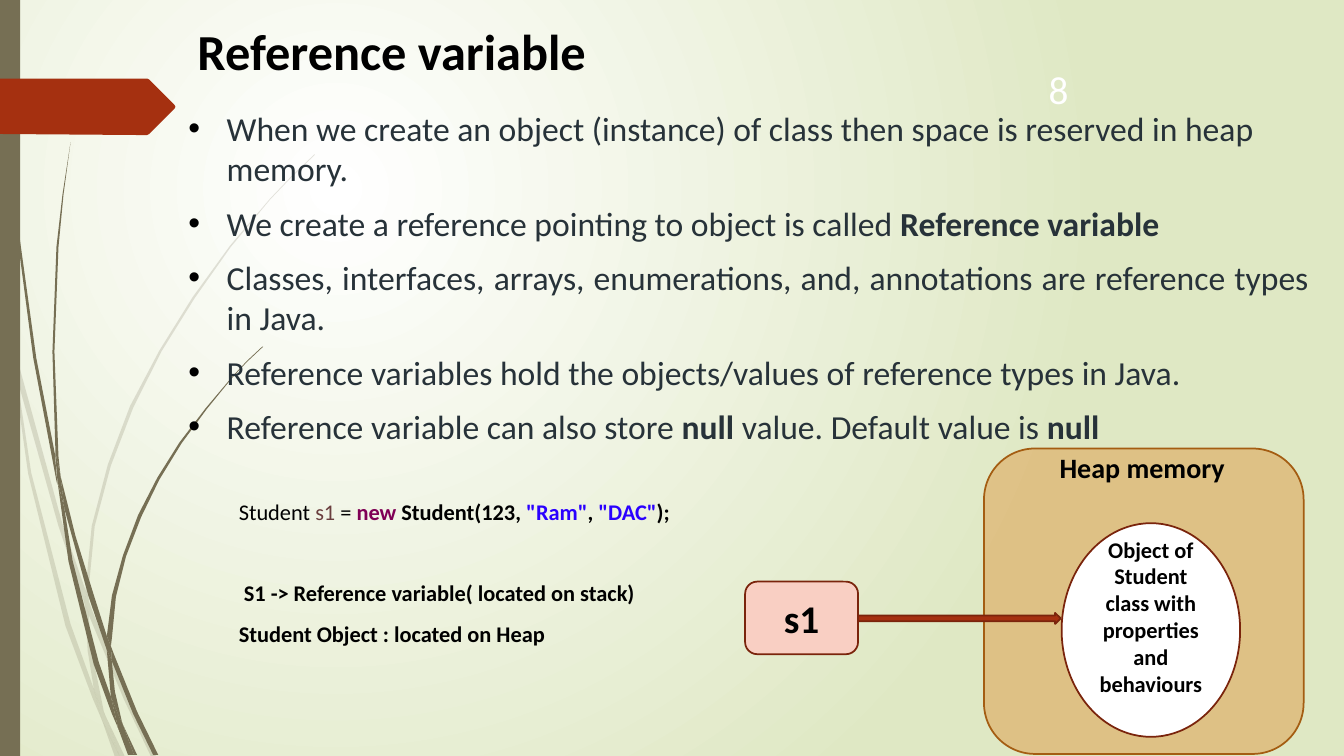
from pptx import Presentation
from pptx.dml.color import RGBColor as RGB
from pptx.enum.shapes import MSO_SHAPE as SHAPE
from pptx.enum.text import MSO_ANCHOR as ANCHOR, PP_ALIGN as ALIGN
from pptx.oxml import parse_xml
from pptx.oxml.ns import nsdecls, qn
from pptx.util import Pt

PX = 9144  # 100 px to the inch
FONT = "Calibri"

BLACK = RGB(0x00, 0x00, 0x00)
WHITE = RGB(0xFF, 0xFF, 0xFF)
PALE_GREEN = RGB(0xDF, 0xE8, 0xC4)
OLIVE = RGB(0x76, 0x6F, 0x54)
RED = RGB(0xA5, 0x30, 0x10)
DARK_RED = RGB(0x7A, 0x24, 0x0C)
PINK = RGB(0xF9, 0xCF, 0xC3)
ORANGE = RGB(0xDE, 0x7E, 0x18)
BROWN = RGB(0xA4, 0x5D, 0x12)
SLATE = RGB(0x27, 0x32, 0x39)
CODE_NAME = RGB(0x6A, 0x3E, 0x3E)
CODE_KEYWORD = RGB(0x7F, 0x00, 0x55)
CODE_STRING = RGB(0x2A, 0x00, 0xFF)

# Outlines of the grass blades, in px
FAINT_BLADES = [
    [(11, 350), (9, 322), (0, 282), (0, 299), (10, 344)],
    [(58, 522), (84, 599), (85, 586), (62, 520), (14, 345), (17, 376)],
    [(92, 607), (88, 596), (88, 610), (123, 694), (150, 751), (155, 751),
     (127, 692)],
    [(119, 751), (124, 751), (105, 711)],
    [(93, 683), (70, 619), (31, 469), (17, 376), (11, 350), (28, 470),
     (65, 621), (92, 693), (101, 714), (99, 707)],
    [(84, 599), (87, 646), (93, 683), (96, 692), (105, 711), (103, 706),
     (91, 646), (88, 610), (88, 608)],
    [(88, 584), (94, 522), (110, 462), (132, 405), (160, 349), (193, 296),
     (229, 245), (268, 198), (290, 175), (312, 154), (312, 153), (289, 175),
     (268, 197), (228, 244), (191, 295), (158, 348), (129, 403), (107, 461),
     (91, 522), (85, 584), (85, 586), (88, 596)],
    [(101, 714), (114, 751), (119, 751)],
    [(88, 608), (88, 610), (88, 596), (85, 586), (84, 599)],
    [(96, 692), (93, 683), (99, 707), (101, 714), (119, 751), (105, 711)],
]
SOLID_BLADES = [
    [(7, 110), (17, 233), (33, 355), (56, 477), (57, 481), (55, 457),
     (55, 453), (36, 355), (19, 232), (8, 109), (5, 48), (4, 0), (3, 0),
     (4, 48)],
    [(88, 592), (106, 645), (106, 633), (106, 631), (93, 590), (75, 532),
     (60, 472), (64, 505)],
    [(113, 649), (110, 641), (111, 656), (132, 708), (152, 749), (157, 749),
     (136, 706)],
    [(110, 691), (98, 657), (72, 556), (64, 505), (57, 477), (68, 557),
     (93, 659), (111, 708), (117, 722), (116, 717)],
    [(60, 472), (58, 453), (54, 349), (58, 245), (63, 193), (70, 141),
     (62, 193), (56, 245), (52, 349), (55, 449)],
    [(133, 749), (136, 749), (122, 719)],
    [(57, 477), (64, 505), (60, 472), (55, 449), (55, 453)],
    [(111, 633), (115, 592), (125, 552), (140, 513), (158, 476), (180, 440),
     (205, 406), (231, 374), (245, 359), (261, 344), (260, 344), (245, 358),
     (231, 373), (204, 405), (178, 439), (156, 474), (137, 511), (122, 551),
     (111, 591), (106, 631), (110, 641)],
    [(117, 722), (127, 749), (131, 749)],
    [(106, 645), (110, 691), (116, 706), (122, 719), (121, 716), (114, 686),
     (111, 656), (109, 651)],
    [(106, 645), (109, 651), (111, 656), (110, 641), (106, 631), (106, 633)],
    [(116, 706), (110, 691), (116, 717), (117, 722), (130, 749), (133, 749),
     (122, 719)],
]
TAG = [(173, 108), (148, 133), (146, 134), (136, 134), (0, 133), (0, 78),
       (146, 78), (148, 79), (173, 104), (174, 106)]

BULLETS = [
    (ALIGN.LEFT, [("When we create an object (instance) of class then space "
                   "is reserved in heap memory.", False)]),
    (ALIGN.LEFT, [("We create a reference pointing to object is called ", False),
                  ("Reference variable", True)]),
    (ALIGN.JUSTIFY, [("Classes, interfaces, arrays, enumerations, and, "
                      "annotations are reference types in Java.", False)]),
    (ALIGN.JUSTIFY, [("Reference variables hold the objects/values of "
                      "reference types in Java.", False)]),
    (ALIGN.JUSTIFY, [("Reference variable can also store ", False), ("null", True),
                     (" value. Default value is ", False), ("null", True)]),
]
# Space before, then runs of text, colour and weight
CODE_LINES = [
    (37, [("Student ", BLACK, False), ("s1", CODE_NAME, False),
          (" = ", BLACK, False), ("new", CODE_KEYWORD, True),
          (" Student(123, ", BLACK, True), ('"Ram"', CODE_STRING, True),
          (", ", BLACK, True), ('"DAC"', CODE_STRING, True),
          (");", BLACK, True)]),
    (39, [(" S1 -> Reference variable( located on stack)", BLACK, True)]),
    (10, [("Student Object : located on Heap", BLACK, True)]),
]


class SlidePainter:
    def __init__(self, slide, font):
        self.slide, self.font = slide, font

    def background(self, centre, edge):
        fill = self.slide.background.fill
        fill.gradient()
        for stop, color in zip(fill.gradient_stops, (centre, edge)):
            stop.color.rgb = color
        gradient = self.slide.element.find(".//" + qn("a:gradFill"))
        circle = parse_xml(
            f'<a:path {nsdecls("a")} path="circle"><a:fillToRect l="50000" '
            't="50000" r="100000" b="100000"/></a:path>')
        gradient.replace(gradient.find(qn("a:lin")), circle)

    def paint(self, shape, fill, line=None, opacity=100):
        shape.shadow.inherit = False
        shape.fill.solid()
        shape.fill.fore_color.rgb = fill
        if opacity < 100:
            color = shape.element.spPr.find(".//" + qn("a:srgbClr"))
            color.append(parse_xml(
                f'<a:alpha {nsdecls("a")} val="{opacity * 1000}"/>'))
        if line is None:
            shape.line.fill.background()
        else:
            shape.line.color.rgb = line
            shape.line.width = Pt(1.25)
        return shape

    def outline(self, points, fill, opacity=100):
        builder = self.slide.shapes.build_freeform(*points[0], scale=PX)
        builder.add_line_segments(points[1:], close=True)
        return self.paint(builder.convert_to_shape(), fill, opacity=opacity)

    def shape(self, kind, place, fill, line=None, opacity=100):
        shape = self.slide.shapes.add_shape(kind, *(v * PX for v in place))
        return self.paint(shape, fill, line, opacity)

    def text_box(self, place, wrap=True):
        box = self.slide.shapes.add_textbox(*(v * PX for v in place))
        box.text_frame.word_wrap = wrap
        return box

    def style(self, span, size, color=BLACK, bold=False):
        span.font.name, span.font.size = self.font, Pt(size)
        span.font.color.rgb, span.font.bold = color, bold

    def label(self, shape, text, size, color=BLACK, bold=True, align=ALIGN.LEFT):
        shape.text_frame.text = text
        para = shape.text_frame.paragraphs[0]
        para.alignment = align
        self.style(para.runs[0], size, color, bold)

    def paragraph(self, box, first, spans, size, before, left, align=ALIGN.LEFT,
                  bullet=False):
        frame = box.text_frame
        para = frame.paragraphs[0] if first else frame.add_paragraph()
        para.alignment, para.space_before = align, Pt(before)
        props = para._p.get_or_add_pPr()
        props.set("marL", str(left * PX))
        props.set("indent", str(-left * PX if bullet else 0))
        if bullet:
            for mark in (f'buClr {nsdecls("a")}><a:srgbClr val="{BLACK}"/></a:buClr',
                         f'buFont {nsdecls("a")} typeface="Arial"/',
                         f'buChar {nsdecls("a")} char="•"/'):
                props.append(parse_xml(f"<a:{mark}>"))
        for text, color, bold in spans:
            span = para.add_run()
            span.text = text
            self.style(span, size, color, bold)


def main():
    deck = Presentation()
    deck.slide_width, deck.slide_height = 1333 * PX, 750 * PX
    page = SlidePainter(deck.slides.add_slide(deck.slide_layouts[6]), FONT)

    # Backdrop: gradient, grass, side strip and page tag
    page.background(WHITE, PALE_GREEN)
    for blades, opacity in ((FAINT_BLADES, 20), (SOLID_BLADES, 100)):
        for blade in blades:
            page.outline(blade, OLIVE, opacity)
    page.shape(SHAPE.RECTANGLE, (0, 0, 20, 750), OLIVE)
    page.outline(TAG, RED)
    page.label(page.text_box((1010, 60, 80, 56)), "8", 28, WHITE, False, ALIGN.CENTER)

    # Title
    page.label(page.text_box((186, 15, 1014, 84)), "Reference variable", 36)

    # Bullets and code
    body = page.text_box((177, 102, 1131, 631))
    for index, (align, spans) in enumerate(BULLETS):
        colored = [(text, SLATE, bold) for text, bold in spans]
        page.paragraph(body, index == 0, colored, 24, 10, 38, align, bullet=True)
    for before, spans in CODE_LINES:
        page.paragraph(body, False, spans, 16, before, 50)

    # Heap diagram
    page.shape(SHAPE.ROUNDED_RECTANGLE, (976, 445, 317, 303), ORANGE, BROWN, 36)
    student = page.shape(SHAPE.OVAL, (1053, 519, 177, 212), WHITE, DARK_RED)
    page.label(student, "Object of Student class with properties and behaviours",
               16, align=ALIGN.CENTER)
    student.text_frame.margin_bottom = 32 * PX
    page.label(page.text_box((1041, 442, 201, 44)), "Heap memory", 20)
    reference = page.shape(SHAPE.ROUNDED_RECTANGLE, (739, 577, 112, 72), PINK, DARK_RED)
    page.label(reference, "s1", 28, align=ALIGN.CENTER)
    for shape in (student, reference):
        shape.text_frame.word_wrap = True
        shape.text_frame.vertical_anchor = ANCHOR.MIDDLE
    page.shape(SHAPE.RIGHT_ARROW, (851, 608, 201, 11), RED, DARK_RED)

    deck.save("out.pptx")


if __name__ == "__main__":
    main()
